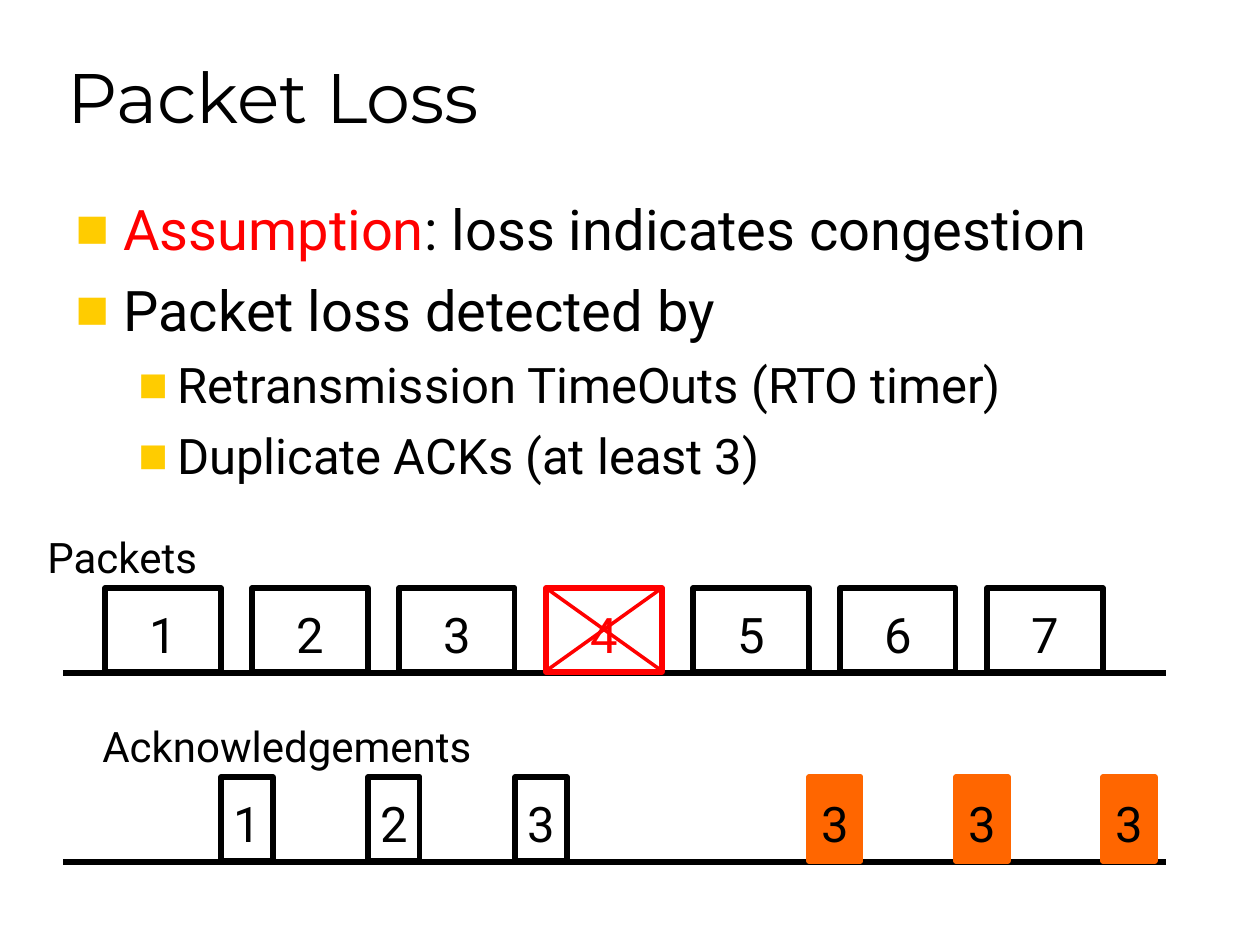
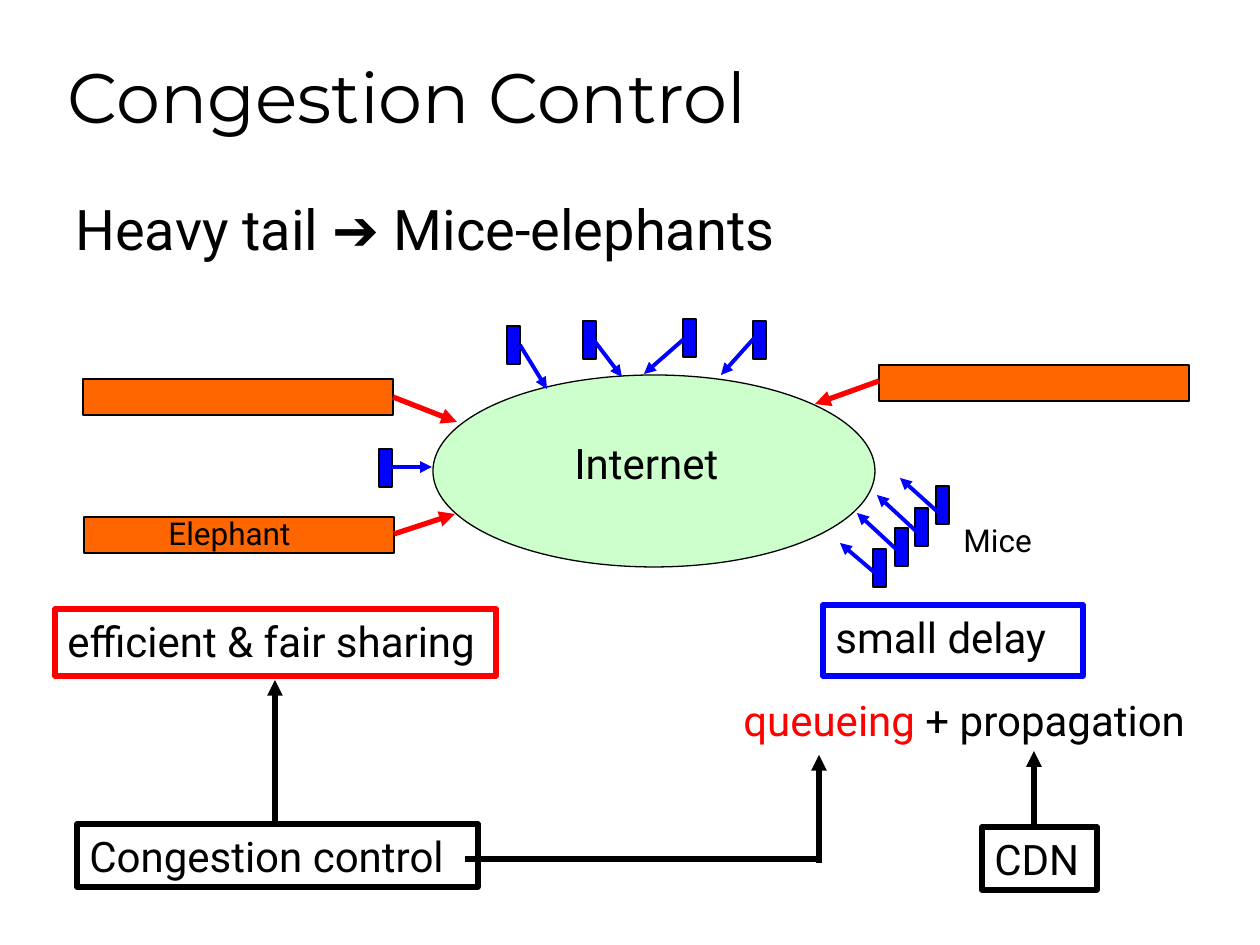
from pptx import Presentation
from pptx.dml.color import RGBColor
from pptx.enum.shapes import MSO_CONNECTOR, MSO_SHAPE
from pptx.enum.text import MSO_ANCHOR, MSO_AUTO_SIZE, PP_ALIGN
from pptx.oxml.ns import qn
from pptx.util import Emu, Pt
from lxml.etree import SubElement

BLACK, RED, BLUE = "000000", "FF0000", "0000FF"
ORANGE, GREEN, GOLD = "FF6600", "CCFFCC", "FFCC00"
HEAD, BODY, SIGN = "Montserrat", "Roboto", "Arial"

POINTS = [
    (0, [("Assumption", RED), (": loss indicates congestion", BLACK)]),
    (0, [("Packet loss detected by", BLACK)]),
    (1, [("Retransmission TimeOuts (RTO timer)", BLACK)]),
    (1, [("Duplicate ACKs (at least 3)", BLACK)]),
]
LEVELS = [(32, 8, 48, 48), (28, 7, 102, 39)]
PACKETS = ["1", "2", "3", "4", "5", "6", "7"]
LOST = "4"
ACKS = ["1", "2", "3", None, "3", "3", "3"]
STEP, TALL = 147, 84

TAIL = [("Heavy tail ", BLACK, BODY), ("➔", BLACK, SIGN),
        (" Mice-elephants", BLACK, BODY)]
FLOWS = [
    (83, 379, (393, 397), (457, 422)),
    (879, 365, (879, 381), (815, 404)),
    (84, 517, (394, 534), (455, 514)),
]
MICE = [
    (507, 326, (520, 345), (547, 389)),
    (583, 321, (593, 339), (622, 377)),
    (683, 319, (684, 339), (644, 374)),
    (753, 321, (756, 336), (721, 375)),
    (379, 449, (392, 467), (432, 467)),
    (936, 486, (940, 514), (900, 478)),
    (915, 508, (917, 532), (877, 495)),
    (895, 528, (896, 549), (857, 513)),
    (873, 549, (881, 578), (840, 543)),
]
LABELS = [
    ("Elephant", 18, (156, 508, 156, 50)),
    ("Internet", 24, (562, 431, 186, 63)),
    ("Mice", 18, (951, 515, 95, 50)),
]
FRAMES = [
    ("efficient & fair sharing", RED, (55, 609, 441, 67)),
    ("small delay", BLUE, (823, 605, 260, 71)),
    ("Congestion control", BLACK, (77, 824, 401, 63)),
    ("CDN", BLACK, (982, 827, 115, 63)),
]
DELAY = [("queueing", RED), (" + propagation", BLACK)]
LINKS = [
    ((275, 824), (275, 680), True),
    ((465, 859), (820, 859), False),
    ((819, 863), (819, 755), True),
    ((1034, 829), (1034, 751), True),
]


def px(num):
    """Turn pixels into EMU."""
    return Emu(round(num * 914400 / 126))


def tint(code):
    """Turn a hex string into a colour."""
    return RGBColor.from_string(code)


def write(para, runs, size):
    """Add runs of (text, colour[, font]) to a paragraph."""
    for text, color, *face in runs:
        run = para.add_run()
        run.text = text
        run.font.size = Pt(size)
        run.font.name = face[0] if face else BODY
        run.font.color.rgb = tint(color)


def setup(frame, anchor=MSO_ANCHOR.TOP):
    """Fix the wrapping and anchor of a text frame."""
    frame.word_wrap = True
    frame.auto_size = MSO_AUTO_SIZE.NONE
    frame.vertical_anchor = anchor
    return frame


def label(slide, runs, size, area):
    """Add a text box and return its frame."""
    box = slide.shapes.add_textbox(*map(px, area))
    frame = setup(box.text_frame)
    write(frame.paragraphs[0], runs, size)
    return frame


def block(slide, area, line, fill=None, width=3.0, kind=MSO_SHAPE.RECTANGLE):
    """Add an outlined shape, filled if a fill is given."""
    shape = slide.shapes.add_shape(kind, *map(px, area))
    shape.shadow.inherit = False
    shape.line.color.rgb = tint(line)
    shape.line.width = Pt(width)
    if fill:
        shape.fill.solid()
        shape.fill.fore_color.rgb = tint(fill)
    else:
        shape.fill.background()
    return shape


def number(slide, text, area, color, fill=None):
    """Add a box with a centred number."""
    shape = block(slide, area, fill or color, fill)
    frame = setup(shape.text_frame)
    frame.margin_left = frame.margin_right = 0
    frame.margin_top = px(16)
    para = frame.paragraphs[0]
    para.alignment = PP_ALIGN.CENTER
    write(para, [(text, color)], 28)


def stroke(slide, start, end, color=BLACK, width=3.0, arrow=False):
    """Draw a line, with an arrowhead at its end if asked."""
    line = slide.shapes.add_connector(
        MSO_CONNECTOR.STRAIGHT, *map(px, start + end))
    line.line.color.rgb = tint(color)
    line.line.width = Pt(width)
    if arrow:
        SubElement(line.line._get_or_add_ln(), qn("a:tailEnd"), type="triangle")
    SubElement(line._element.spPr, qn("a:effectLst"))


def bullet(para, level):
    """Give a paragraph its square bullet and indent."""
    left, hang = LEVELS[level][2:]
    para.level = level
    props = para._p.get_or_add_pPr()
    props.set("marL", str(px(left)))
    props.set("indent", str(-px(hang)))
    SubElement(SubElement(props, qn("a:buClr")), qn("a:srgbClr"), val=GOLD)
    SubElement(props, qn("a:buFont"), typeface=SIGN)
    SubElement(props, qn("a:buChar"), char="■")


def begin(deck, text):
    """Add a slide with its title."""
    slide = deck.slides.add_slide(deck.slide_layouts[5])
    title = slide.shapes.title
    title.left, title.top, title.width, title.height = map(
        px, (55, 32, 1071, 112))
    para = setup(title.text_frame, MSO_ANCHOR.BOTTOM).paragraphs[0]
    para.alignment = PP_ALIGN.LEFT
    write(para, [(text, BLACK, HEAD)], 40)
    return slide


def loss(deck):
    """Build the packet loss slide."""
    slide = begin(deck, "Packet Loss")
    frame = label(slide, [], 32, (63, 188, 1145, 711))
    for rank, (level, runs) in enumerate(POINTS):
        para = frame.add_paragraph() if rank else frame.paragraphs[0]
        bullet(para, level)
        size, gap = LEVELS[level][:2]
        if rank:
            para.space_before = Pt(gap)
        write(para, runs, size)
    for base in (673, 862):
        stroke(slide, (63, base), (1166, base))
    label(slide, [("Packets", BLACK)], 24, (35, 525, 175, 63))
    label(slide, [("Acknowledgements", BLACK)], 24, (90, 714, 413, 63))
    for spot, text in enumerate(PACKETS):
        left = 105 + STEP * spot
        color = RED if text == LOST else BLACK
        number(slide, text, (left, 588, 116, TALL), color)
        if text == LOST:
            stroke(slide, (left, 671), (left + 116, 588), RED, 2)
            stroke(slide, (left, 588), (left + 116, 671), RED, 2)
    for spot, text in enumerate(ACKS):
        if text:
            fill = ORANGE if spot > ACKS.index(None) else None
            area = (221 + STEP * spot, 777, 52, TALL)
            number(slide, text, area, BLACK, fill)


def control(deck):
    """Build the congestion control slide."""
    slide = begin(deck, "Congestion Control")
    label(slide, TAIL, 32, (63, 188, 1145, 89))
    block(slide, (433, 375, 442, 192), BLACK, GREEN, 0.75, MSO_SHAPE.OVAL)
    for flows, wide, high, fill, color, width in (
            (FLOWS, 310, 36, ORANGE, RED, 3),
            (MICE, 13, 38, BLUE, BLUE, 2.25)):
        for left, top, start, end in flows:
            block(slide, (left, top, wide, high), BLACK, fill, 0.75)
            stroke(slide, start, end, color, width, True)
    for text, size, area in LABELS:
        label(slide, [(text, BLACK)], size, area)
    for text, color, area in FRAMES:
        frame = setup(block(slide, area, color).text_frame)
        para = frame.paragraphs[0]
        para.alignment = PP_ALIGN.LEFT
        write(para, [(text, BLACK)], 24)
    label(slide, DELAY, 24, (731, 688, 489, 71))
    for start, end, arrow in LINKS:
        stroke(slide, start, end, arrow=arrow)


def main():
    """Build and save the deck."""
    deck = Presentation()
    deck.slide_width, deck.slide_height = px(1260), px(945)
    loss(deck)
    control(deck)
    deck.save("out.pptx")


if __name__ == "__main__":
    main()
